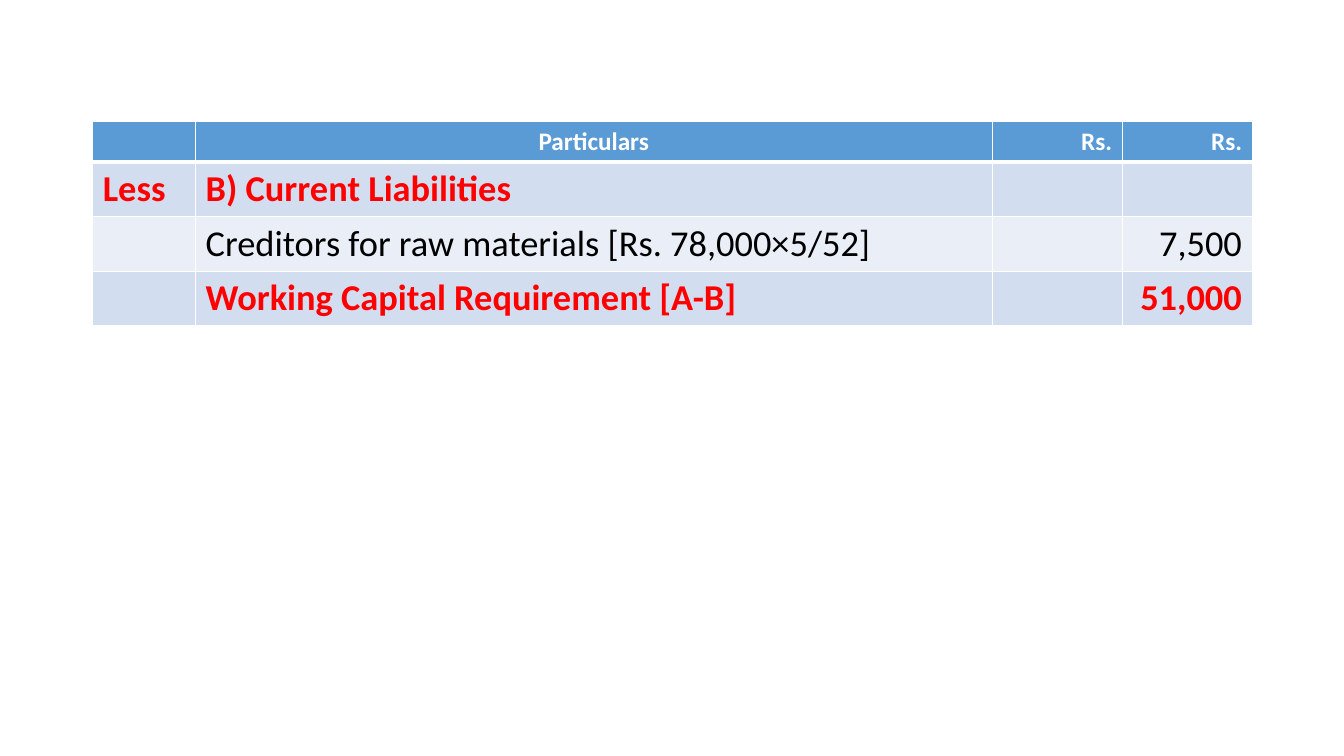
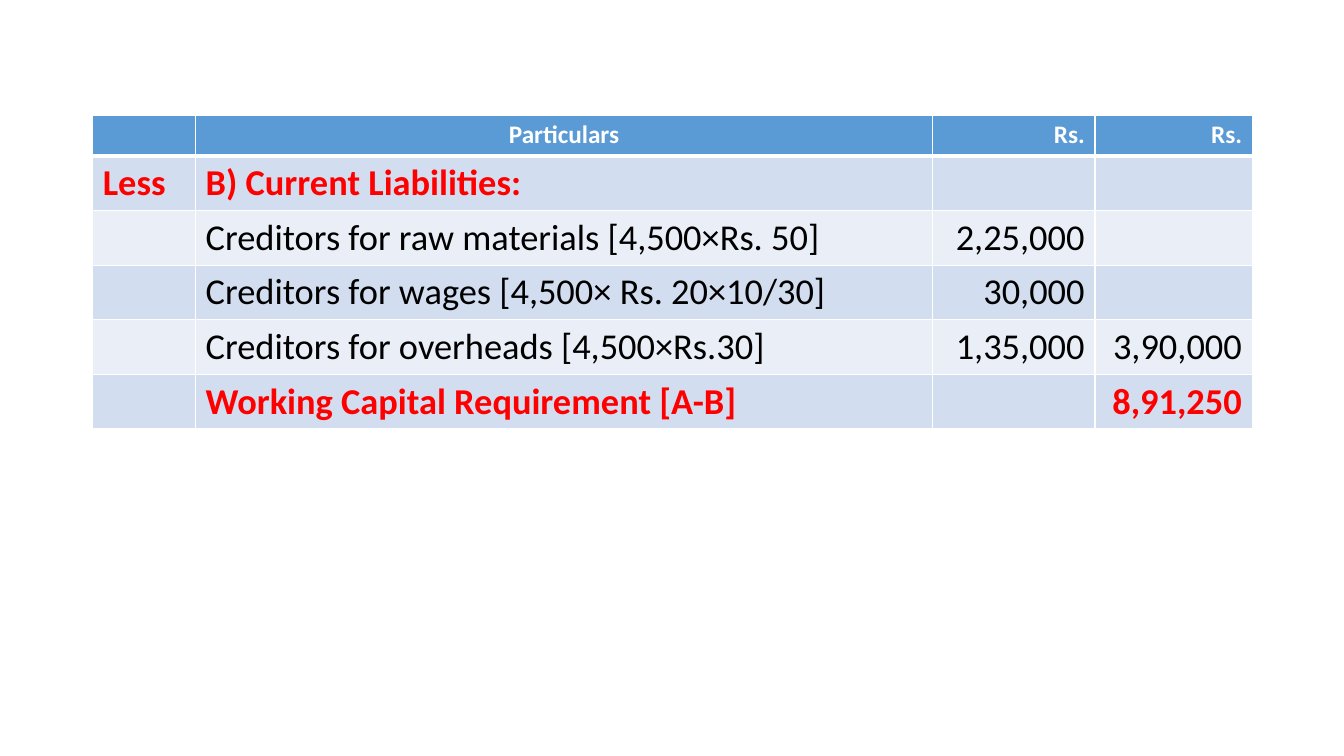
from dataclasses import dataclass

import pptx
import pptx.dml.color
import pptx.enum.text
import pptx.oxml
import pptx.oxml.ns
import pptx.presentation
import pptx.table
import pptx.util
from pptx.util import Inches

FONT = "Calibri"
WHITE, BLACK, RED = "FFFFFF", "000000", "FF0000"
HEADER_FILL = "5B9BD5"
BAND_FILLS = ("D2DEEF", "EAEFF7")
TABLE_LEFT = 0.92
HEADER_HEIGHT, ROW_HEIGHT = 0.4, 0.54
LEFT, CENTER, RIGHT = (
    pptx.enum.text.PP_ALIGN.LEFT,
    pptx.enum.text.PP_ALIGN.CENTER,
    pptx.enum.text.PP_ALIGN.RIGHT,
)


@dataclass(frozen=True)
class TextStyle:
    size: int
    color: str
    bold: bool
    alignments: tuple = (LEFT, LEFT, RIGHT, RIGHT)


HEADER = TextStyle(18, WHITE, True, (LEFT, CENTER, RIGHT, RIGHT))
ENTRY = TextStyle(26, BLACK, False)
EMPHASIS = TextStyle(26, RED, True)


@dataclass(frozen=True)
class Row:
    texts: tuple[str, str, str, str]
    style: TextStyle = ENTRY


@dataclass(frozen=True)
class Statement:
    top: float
    column_widths: tuple[float, float, float, float]
    rows: tuple[Row, ...]


HEADER_ROW = Row(("", "Particulars", "Rs.", "Rs."), HEADER)

STATEMENTS = (
    Statement(
        1.2,
        (1.02, 7.9, 1.29, 1.29),
        (
            Row(("Less", "B) Current Liabilities", "", ""), EMPHASIS),
            Row(("", "Creditors for raw materials [Rs. 78,000×5/52]", "", "7,500")),
            Row(("", "Working Capital Requirement [A-B]", "", "51,000"), EMPHASIS),
        ),
    ),
    Statement(
        1.14,
        (1.02, 7.31, 1.61, 1.56),
        (
            Row(("Less", "B) Current Liabilities:", "", ""), EMPHASIS),
            Row(("", "Creditors for raw materials [4,500×Rs. 50]", "2,25,000", "")),
            Row(("", "Creditors for wages [4,500× Rs. 20×10/30]", "30,000", "")),
            Row(("", "Creditors for overheads [4,500×Rs.30]", "1,35,000", "3,90,000")),
            Row(("", "Working Capital Requirement [A-B]", "", "8,91,250"), EMPHASIS),
        ),
    ),
)


def rgb(color: str) -> pptx.dml.color.RGBColor:
    return pptx.dml.color.RGBColor.from_string(color)


def set_borders(cell: pptx.table._Cell, top: float, bottom: float) -> None:
    """Add white borders; call before filling, as the schema puts lines first."""
    properties = cell._tc.get_or_add_tcPr()
    for side, width in (("L", 1), ("R", 1), ("T", top), ("B", bottom)):
        properties.append(pptx.oxml.parse_xml(
            f'<a:ln{side} {pptx.oxml.ns.nsdecls("a")} w="{pptx.util.Pt(width)}">'
            f'<a:solidFill><a:srgbClr val="{WHITE}"/></a:solidFill></a:ln{side}>'
        ))


def write_cell(
    cell: pptx.table._Cell, text: str, style: TextStyle,
    alignment: pptx.enum.text.PP_ALIGN, fill: str,
) -> None:
    cell.fill.solid()
    cell.fill.fore_color.rgb = rgb(fill)
    cell.text = text
    para = cell.text_frame.paragraphs[0]
    para.alignment = alignment
    para.font.name = FONT
    para.font.size = pptx.util.Pt(style.size)
    para.font.bold = style.bold
    para.font.color.rgb = rgb(style.color)


def add_statement(deck: pptx.presentation.Presentation, statement: Statement) -> None:
    page = deck.slides.add_slide(deck.slide_layouts[6])
    rows = (HEADER_ROW, *statement.rows)
    heights = [HEADER_HEIGHT] + [ROW_HEIGHT] * len(statement.rows)
    table = page.shapes.add_table(
        len(rows), len(statement.column_widths),
        Inches(TABLE_LEFT), Inches(statement.top),
        Inches(sum(statement.column_widths)), Inches(sum(heights)),
    ).table
    for column, width in zip(table.columns, statement.column_widths):
        column.width = Inches(width)
    for index, (row, height) in enumerate(zip(rows, heights)):
        table.rows[index].height = Inches(height)
        fill = BAND_FILLS[(index - 1) % 2] if index else HEADER_FILL
        top, bottom = (3 if index == 1 else 1), (3 if index == 0 else 1)
        for cell, text, alignment in zip(
            table.rows[index].cells, row.texts, row.style.alignments
        ):
            set_borders(cell, top, bottom)
            write_cell(cell, text, row.style, alignment, fill)


def main() -> None:
    deck = pptx.Presentation()
    deck.slide_width, deck.slide_height = Inches(13.33), Inches(7.5)
    for statement in STATEMENTS:
        add_statement(deck, statement)
    deck.save("out.pptx")


if __name__ == "__main__":
    main()
